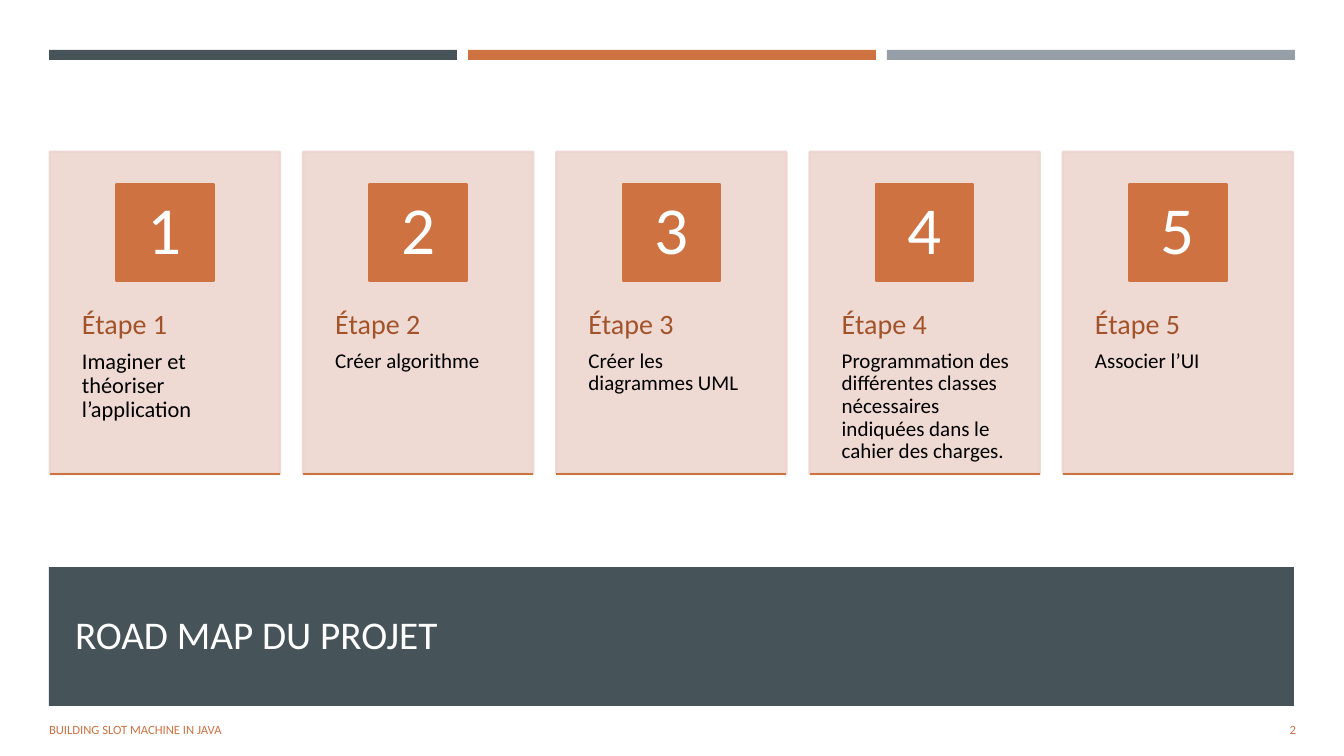
from dataclasses import dataclass

from lxml.etree import SubElement
from pptx import Presentation
from pptx.dml.color import RGBColor
from pptx.enum.shapes import MSO_CONNECTOR as Connector, MSO_SHAPE as Preset
from pptx.enum.text import MSO_ANCHOR as Anchor, MSO_AUTO_SIZE as AutoSize, PP_ALIGN as Align
from pptx.oxml.ns import qn
from pptx.util import Pt

TITLE = "ROAD MAP DU PROJET"
FOOTER = "BUILDING SLOT MACHINE IN JAVA"
PAGE_NUMBER = "2"
STEPS = [
    ("Étape 1", "Imaginer et théoriser l’application", 16),
    ("Étape 2", "Créer algorithme", 15),
    ("Étape 3", "Créer les diagrammes UML", 15),
    ("Étape 4", "Programmation des différentes classes nécessaires "
                "indiquées dans le cahier des charges.", 15),
    ("Étape 5", "Associer l’UI", 15),
]


@dataclass(frozen=True)
class Theme:
    font: str = "Calibri"
    slate: str = "465359"
    orange: str = "CE7242"
    grey: str = "969FA7"
    card: str = "EDD5CF"
    heading: str = "A2532A"
    body: str = "000000"
    white: str = "FFFFFF"
    title_text: str = "FFFEFF"
    title_size: int = 28
    number_size: int = 48
    heading_size: int = 20
    footer_size: int = 9
    line_width: float = 1.75


THEME = Theme()
SLIDE_WIDTH, SLIDE_HEIGHT = 1344, 756
EMU_PER_PX = 914400 / 100.8

LEFT, RIGHT = 50, 1293
BAR_TOP, BAR_WIDTH, BAR_HEIGHT = 50, 408, 10
CARD_TOP, CARD_WIDTH, CARD_HEIGHT = 152, 230, 322
BADGE_TOP, BADGE_SIZE = 184, 97
TEXT_TOP, TEXT_HEIGHT = 274, 194


def px(length):
    return round(length * EMU_PER_PX)


def box(*lengths):
    return [px(length) for length in lengths]


def set_alpha(shape, percent):
    for color in shape._element.spPr.iter(qn("a:srgbClr")):
        SubElement(color, qn("a:alpha"), val=str(percent * 1000))


def add_rectangle(slide, bounds, color, outlined=False):
    shape = slide.shapes.add_shape(Preset.RECTANGLE, *box(*bounds))
    shape.shadow.inherit = False
    shape.fill.solid()
    shape.fill.fore_color.rgb = RGBColor.from_string(color)
    if outlined:
        shape.line.color.rgb = RGBColor.from_string(color)
        shape.line.width = Pt(THEME.line_width)
    else:
        shape.line.fill.background()
    return shape


def set_frame(frame, anchor, insets):
    frame.word_wrap = True
    frame.auto_size = AutoSize.NONE
    frame.vertical_anchor = anchor
    (frame.margin_left, frame.margin_top,
     frame.margin_right, frame.margin_bottom) = box(*insets)


def add_run(paragraph, text, size, color, align=Align.LEFT):
    paragraph.alignment = align
    run = paragraph.add_run()
    run.text = text
    run.font.name = THEME.font
    run.font.size = Pt(size)
    run.font.color.rgb = RGBColor.from_string(color)


def add_footer_text(slide, bounds, text, align):
    text_box = slide.shapes.add_textbox(*box(*bounds))
    set_frame(text_box.text_frame, Anchor.MIDDLE, (10, 5, 10, 5))
    add_run(text_box.text_frame.paragraphs[0], text, THEME.footer_size, THEME.orange, align)


def add_step(slide, left, number, heading, body, body_size):
    card = add_rectangle(slide, (left, CARD_TOP, CARD_WIDTH, CARD_HEIGHT), THEME.card, True)
    set_alpha(card, 90)

    description = slide.shapes.add_textbox(*box(left, TEXT_TOP, CARD_WIDTH, TEXT_HEIGHT))
    frame = description.text_frame
    set_frame(frame, Anchor.TOP, (32, 36, 18, 0))
    add_run(frame.paragraphs[0], heading, THEME.heading_size, THEME.heading)
    add_run(frame.add_paragraph(), body, body_size, THEME.body)
    for paragraph in frame.paragraphs:
        paragraph.line_spacing = 0.9
        paragraph.space_after = Pt(7)

    badge_left = left + (CARD_WIDTH - BADGE_SIZE) / 2
    badge = add_rectangle(slide, (badge_left, BADGE_TOP, BADGE_SIZE, BADGE_SIZE),
                          THEME.orange, True)
    set_frame(badge.text_frame, Anchor.MIDDLE, (7, 1, 7, 1))
    paragraph = badge.text_frame.paragraphs[0]
    paragraph.line_spacing = 0.9
    add_run(paragraph, str(number), THEME.number_size, THEME.white, Align.CENTER)

    bottom = CARD_TOP + CARD_HEIGHT
    underline = slide.shapes.add_connector(
        Connector.STRAIGHT, *box(left, bottom, left + CARD_WIDTH, bottom))
    underline.line.color.rgb = RGBColor.from_string(THEME.orange)
    underline.line.width = Pt(THEME.line_width)
    SubElement(underline._element.spPr, qn("a:effectLst"))


def add_title(slide):
    add_rectangle(slide, (LEFT - 1, 567, 1245, 139), THEME.slate)
    title = slide.shapes.title
    title.left, title.top, title.width, title.height = box(65, 581, 1216, 106)
    set_frame(title.text_frame, Anchor.MIDDLE, (10, 5, 10, 5))
    add_run(title.text_frame.paragraphs[0], TITLE, THEME.title_size, THEME.title_text)
    slide.shapes._spTree.append(title._element)


def main():
    presentation = Presentation()
    presentation.slide_width, presentation.slide_height = box(SLIDE_WIDTH, SLIDE_HEIGHT)
    slide = presentation.slides.add_slide(presentation.slide_layouts[5])

    add_title(slide)
    bar_pitch = BAR_WIDTH + 11
    for index, color in enumerate((THEME.slate, THEME.orange, THEME.grey)):
        bar_left = LEFT - 1 + index * bar_pitch
        add_rectangle(slide, (bar_left, BAR_TOP, BAR_WIDTH, BAR_HEIGHT), color)

    card_pitch = (RIGHT - LEFT - CARD_WIDTH) / (len(STEPS) - 1)
    for index, step in enumerate(STEPS):
        add_step(slide, LEFT + index * card_pitch, index + 1, *step)

    add_footer_text(slide, (39, 709, 752, 40), FOOTER, Align.LEFT)
    add_footer_text(slide, (1190, 709, 116, 40), PAGE_NUMBER, Align.RIGHT)
    presentation.save("out.pptx")


if __name__ == "__main__":
    main()
